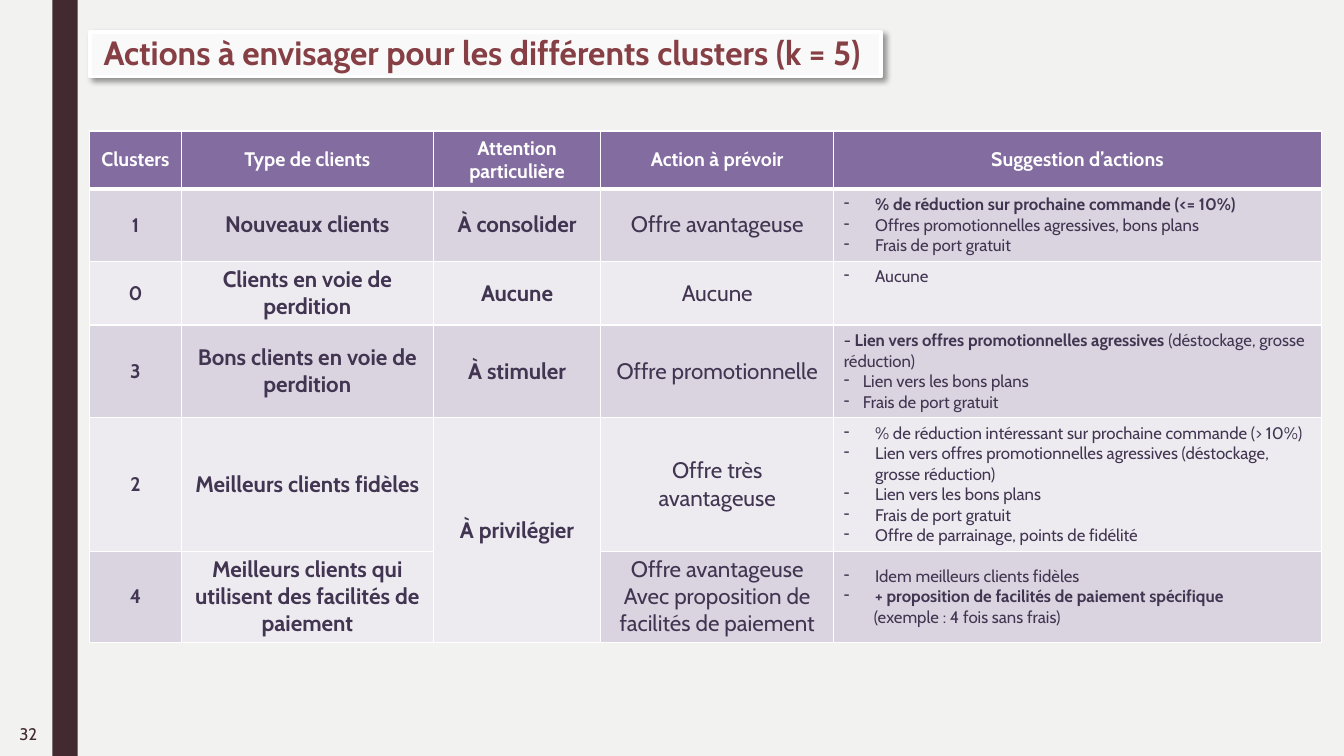
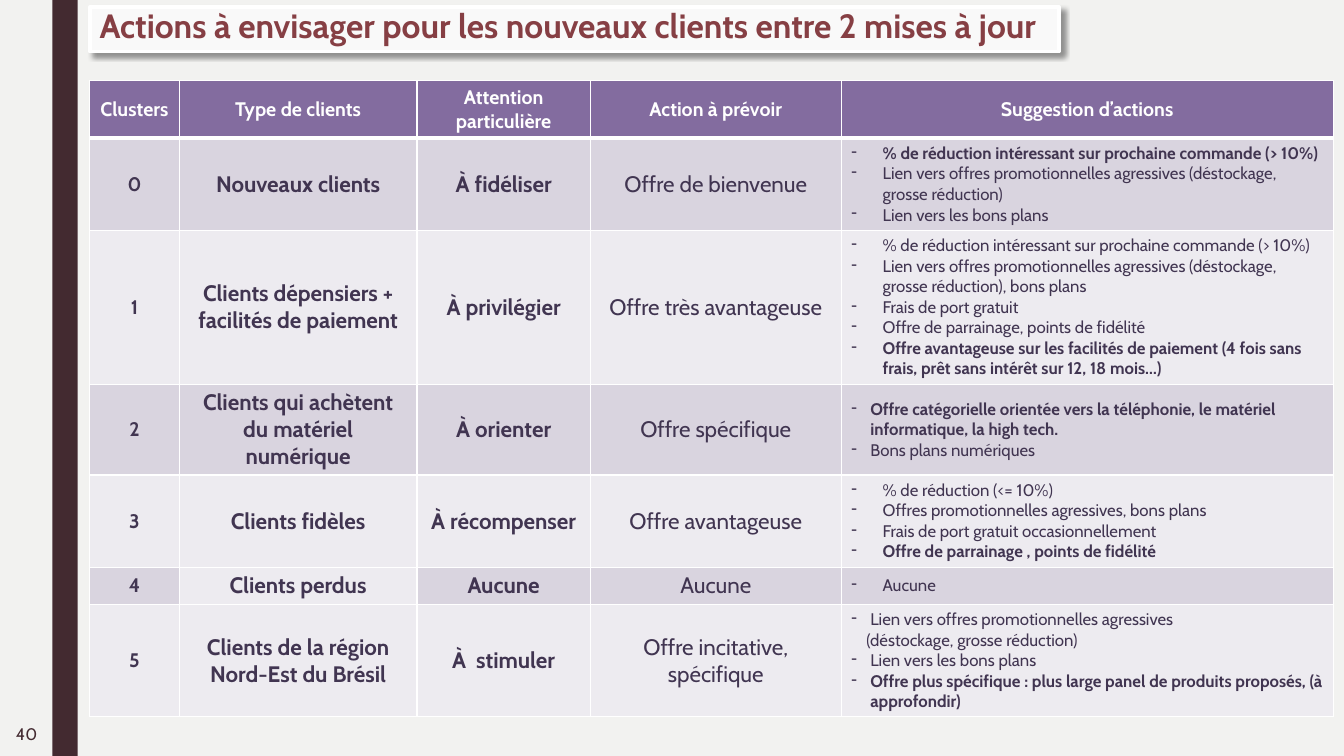
from dataclasses import dataclass

from lxml import etree
from pptx import Presentation
from pptx import util as u
from pptx.dml import color
from pptx.enum import shapes, text
from pptx.oxml import ns

# Shared look
FONT = "Cabin"
PAPER, BAND, TITLE = "F2F2F0", "432A30", "863F44"
WHITE, PLATE = "FFFFFF", "F9F9F9"
HEADER, DARK_ROW, LIGHT_ROW, INK = "836C9F", "D9D4DF", "EDEBF0", "413551"
LEFT = 2.26
HEADINGS = ["Clusters", "Type de clients", "Attention particulière",
            "Action à prévoir", "Suggestion d’actions"]

# Suggestions that return on both slides
OFFERS = "Lien vers offres promotionnelles agressives"
CLEARANCE = "(déstockage, grosse réduction)"
DEALS = "Lien vers les bons plans"
SHIPPING = "Frais de port gratuit"
REFERRAL = "Offre de parrainage, points de fidélité"
PROMOS = "Offres promotionnelles agressives, bons plans"
BIG_DISCOUNT = "% de réduction intéressant sur prochaine commande (> 10%)"


@dataclass
class Line:
    """One paragraph; parts between asterisks are bold."""
    words: str
    indent: float = 0
    dash: bool = False


def wide(*items):
    return [Line(item, 0.79, True) for item in items]


def narrow(*items):
    return [Line(item, 0.48, True) for item in items]


def rgb(value):
    return color.RGBColor.from_string(value)


def sub(parent, tag, **attributes):
    child = etree.SubElement(parent, ns.qn(tag))
    for name, value in attributes.items():
        child.set(name, str(value))
    return child


# Text
def add_run(paragraph, words, size, ink, bold=False):
    run = paragraph.add_run()
    run.text = words
    run.font.name = FONT
    run.font.size = u.Pt(size)
    run.font.bold = bold
    run.font.color.rgb = rgb(ink)


def write_lines(frame, lines, size, ink, align=text.PP_ALIGN.LEFT):
    for number, line in enumerate(lines):
        paragraph = frame.add_paragraph() if number else frame.paragraphs[0]
        paragraph.alignment = align
        if line.indent:
            properties = paragraph._p.get_or_add_pPr()
            properties.set("marL", str(u.Cm(line.indent)))
            properties.set("indent", str(-u.Cm(line.indent) if line.dash else 0))
            if line.dash:
                sub(properties, "a:buChar", char="-")
        for part, words in enumerate(line.words.split("*")):
            if words:
                add_run(paragraph, words, size, ink, bold=part % 2 == 1)


def add_label(slide, box, words, size, ink, align=text.PP_ALIGN.LEFT,
              anchor=text.MSO_ANCHOR.TOP):
    frame = slide.shapes.add_textbox(*map(u.Cm, box)).text_frame
    frame.word_wrap = True
    frame.vertical_anchor = anchor
    write_lines(frame, [Line(words)], size, ink, align)


# Slide frame: band, page number, title on a raised plate
def add_rectangle(slide, box, fill):
    rectangle = slide.shapes.add_shape(shapes.MSO_SHAPE.RECTANGLE, *map(u.Cm, box))
    rectangle.shadow.inherit = False
    rectangle.fill.solid()
    rectangle.fill.fore_color.rgb = rgb(fill)
    rectangle.line.fill.background()
    return rectangle


def add_page(prs, number):
    slide = prs.slides.add_slide(prs.slide_layouts[6])
    add_rectangle(slide, (1.32, 0, 0.64, 19.05), BAND)
    add_label(slide, (0, 17.93, 1.19, 1.12), str(number), 12, BAND,
              text.PP_ALIGN.RIGHT, text.MSO_ANCHOR.MIDDLE)
    return slide


def add_title(slide, words, plate_top, plate_width, label_box):
    plate = add_rectangle(slide, (LEFT, plate_top, plate_width, 1.12), PLATE)
    plate.line.color.rgb = rgb(WHITE)
    plate.line.width = u.Pt(2.75)
    effects = plate._element.spPr.find(ns.qn("a:effectLst"))
    shadow = sub(effects, "a:outerShdw", blurRad=u.Pt(4), dist=u.Pt(3),
                 dir=45 * 60000, algn="tl", rotWithShape=0)
    sub(sub(shadow, "a:srgbClr", val="000000"), "a:alpha", val=40000)
    add_label(slide, label_box, f"*{words}*", 24, TITLE)


# Table
def style_cell(cell, fill, top=1, bottom=1, anchor=text.MSO_ANCHOR.MIDDLE):
    properties = cell._tc.get_or_add_tcPr()
    for side, width in (("L", 1), ("R", 1), ("T", top), ("B", bottom)):
        edge = sub(properties, f"a:ln{side}", w=u.Pt(width))
        sub(sub(edge, "a:solidFill"), "a:srgbClr", val=WHITE)
    cell.fill.solid()
    cell.fill.fore_color.rgb = rgb(fill)
    cell.vertical_anchor = anchor


def add_action_table(slide, top, widths, heights, rows):
    table = slide.shapes.add_table(
        len(heights), len(widths), u.Cm(LEFT), u.Cm(top),
        u.Cm(sum(widths)), u.Cm(sum(heights))).table
    table.first_row = table.horz_banding = False
    for column, width in zip(table.columns, widths):
        column.width = u.Cm(width)
    for row, height in zip(table.rows, heights):
        row.height = u.Cm(height)

    for col, heading in enumerate(HEADINGS):
        cell = table.cell(0, col)
        style_cell(cell, HEADER, bottom=3)
        write_lines(cell.text_frame, [Line(f"*{heading}*")], 14, WHITE,
                    text.PP_ALIGN.CENTER)

    for index, (cluster, kind, attention, action, suggestions) in enumerate(rows, 1):
        band = DARK_ROW if index % 2 else LIGHT_ROW
        # The client type of cluster 4 stays light; cluster 0 lists start at the top
        fills = [band, LIGHT_ROW if cluster == 4 else band, band, band, band]
        for col, fill in enumerate(fills):
            at_top = cluster == 0 and col == 4
            style_cell(table.cell(index, col), fill, top=3 if index == 1 else 1,
                       anchor=text.MSO_ANCHOR.TOP if at_top else text.MSO_ANCHOR.MIDDLE)
        centred = [(14, [Line(f"*{cluster}*")]), (16, [Line(f"*{kind}*")]),
                   (16, [Line(f"*{attention}*")] if attention else []),
                   (16, [Line(words) for words in action])]
        for col, (size, lines) in enumerate(centred):
            write_lines(table.cell(index, col).text_frame, lines, size, INK,
                        text.PP_ALIGN.CENTER)
        write_lines(table.cell(index, 4).text_frame, suggestions, 12, INK)
        if not attention:
            table.cell(index - 1, 2).merge(table.cell(index, 2))


# Slides
def add_cluster_actions(prs):
    slide = add_page(prs, 32)
    add_action_table(slide, 3.3, [2.31, 6.35, 4.22, 5.87, 12.29],
                     [1.46, 1.82, 1.61, 2.34, 3.36, 2.3], [
        (1, "Nouveaux clients", "À consolider", ["Offre avantageuse"],
         wide("*% de réduction sur prochaine commande (<= 10%)*", PROMOS, SHIPPING)),
        (0, "Clients en voie de perdition", "Aucune", ["Aucune"], wide("Aucune")),
        (3, "Bons clients en voie de perdition", "À stimuler", ["Offre promotionnelle"],
         [Line(f"- *{OFFERS} *{CLEARANCE}")] + narrow(DEALS, SHIPPING)),
        (2, "Meilleurs clients fidèles", "À privilégier", ["Offre très avantageuse"],
         wide(BIG_DISCOUNT, f"{OFFERS} {CLEARANCE}", DEALS, SHIPPING, REFERRAL)),
        # No attention of its own: shares the cell above
        (4, "Meilleurs clients qui utilisent des facilités de paiement", None,
         ["Offre avantageuse", "Avec proposition de facilités de paiement"],
         wide("Idem meilleurs clients fidèles",
              "*+ proposition de facilités de paiement spécifique*")
         + [Line("(exemple : 4 fois sans frais)", 0.76)]),
    ])
    add_title(slide, "Actions à envisager pour les différents clusters (k = 5)",
              0.81, 19.94, (2.36, 0.69, 19.94, 1.27))


def add_new_client_actions(prs):
    slide = add_page(prs, 40)
    add_action_table(slide, 2.03, [2.26, 5.99, 4.37, 6.32, 12.4],
                     [1.45, 2.32, 3.88, 2.29, 2.32, 0.94, 2.83], [
        (0, "Nouveaux clients", "À fidéliser", ["Offre de bienvenue"],
         wide(f"*{BIG_DISCOUNT}*", f"{OFFERS} {CLEARANCE}", DEALS)),
        (1, "Clients dépensiers + facilités de paiement", "À privilégier",
         ["Offre très avantageuse"],
         wide(BIG_DISCOUNT, f"{OFFERS} {CLEARANCE}, bons plans", SHIPPING, REFERRAL,
              "*Offre avantageuse sur les facilités de paiement (4 fois sans frais, "
              "prêt sans intérêt sur 12, 18 mois…)*")),
        (2, "Clients qui achètent du matériel numérique", "À orienter",
         ["Offre spécifique"],
         narrow("*Offre catégorielle orientée vers la téléphonie, le matériel "
                "informatique, la high tech.*", "Bons plans numériques")),
        (3, "Clients fidèles", "À récompenser", ["Offre avantageuse"],
         wide("% de réduction (<= 10%)", PROMOS, f"{SHIPPING} occasionnellement",
              "*Offre de parrainage , points de fidélité*")),
        (4, "Clients perdus", "Aucune", ["Aucune"], wide("Aucune")),
        (5, "Clients de la région Nord-Est du Brésil", "À  stimuler",
         ["Offre incitative, spécifique"],
         narrow(OFFERS) + [Line(CLEARANCE, 0.38)]
         + narrow(DEALS, "*Offre plus spécifique : plus large panel de produits "
                         "proposés, (à approfondir)*")),
    ])
    add_title(slide, "Actions à envisager pour les nouveaux clients entre 2 mises à jour",
              0.18, 24.43, (LEFT, 0, 25.98, 1.27))


def main():
    prs = Presentation()
    prs.slide_width, prs.slide_height = u.Cm(33.87), u.Cm(19.05)
    paper = prs.slide_master.background.fill
    paper.solid()
    paper.fore_color.rgb = rgb(PAPER)
    add_cluster_actions(prs)
    add_new_client_actions(prs)
    prs.save("out.pptx")


if __name__ == "__main__":
    main()
